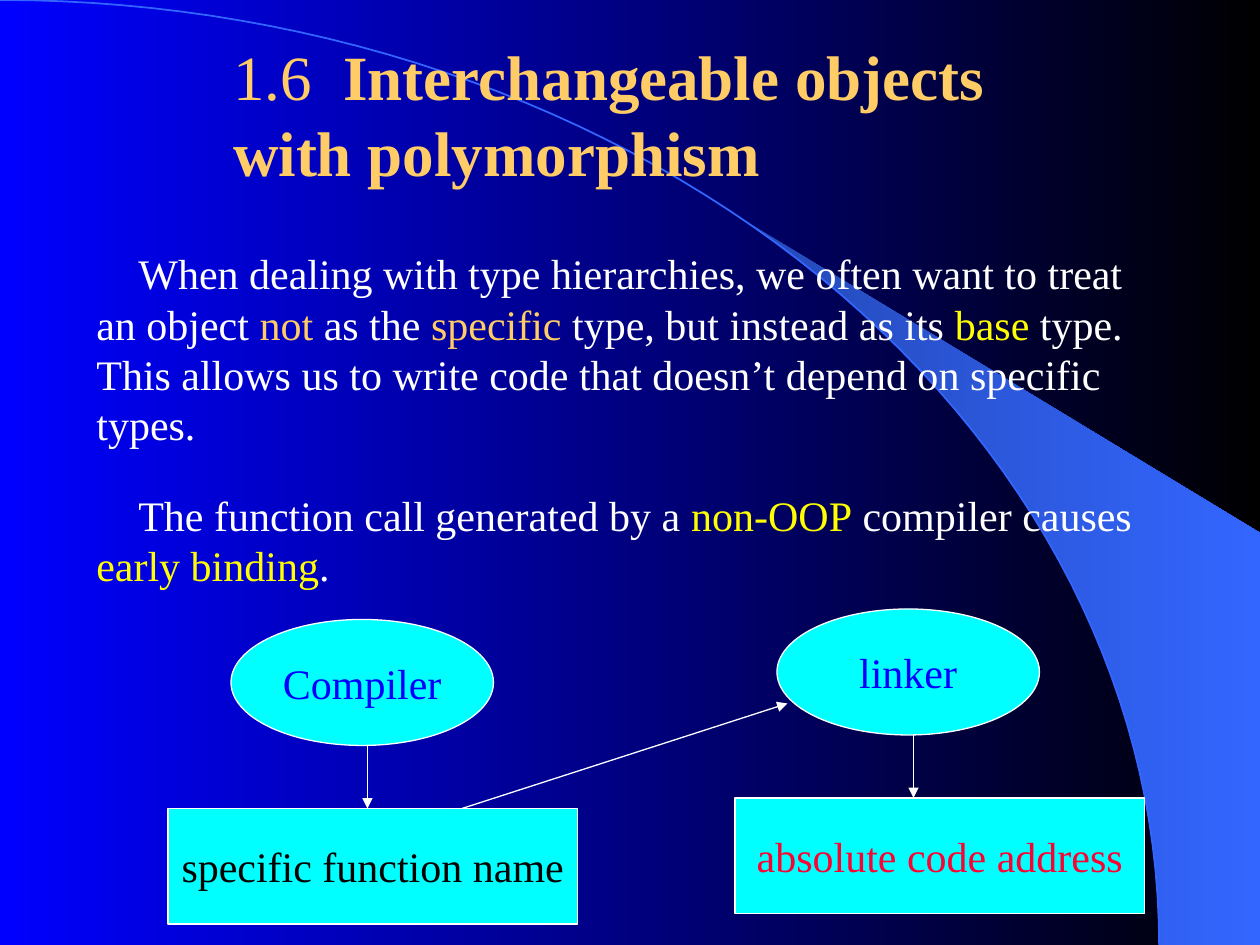
import math
from dataclasses import dataclass

from lxml import etree
from pptx import Presentation, util as u
from pptx.dml.color import RGBColor
from pptx.enum import shapes, text
from pptx.oxml.ns import qn


@dataclass(frozen=True)
class Theme:
    font: str = "Times New Roman"
    title_size: int = 36
    body_size: int = 24
    leading: float = 1.2
    outline: float = 0.75
    blue: str = "0000FF"
    black: str = "000000"
    white: str = "FFFFFF"
    gold: str = "FFCC66"
    yellow: str = "FFFF00"
    cyan: str = "00FFFF"
    red: str = "FF0033"
    sweep: str = "3366FF"
    sweep_dark: str = "2449B6"


THEME = Theme()
COLUMNS, ROWS = 120, 90
CELL = u.Inches(10) // COLUMNS


def grid(*cells):
    return [u.Emu(round(cell * CELL)) for cell in cells]


def place(shape, box):
    shape.left, shape.top, shape.width, shape.height = grid(*box)


def color(value):
    return RGBColor.from_string(value)


def fill_gradient(fill, start, end):
    fill.gradient()
    fill.gradient_angle = 0
    for stop, value in zip(fill.gradient_stops, (start, end)):
        stop.color.rgb = color(value)


def write(shape, paragraphs, size=THEME.body_size, align=text.PP_ALIGN.LEFT,
          anchor=text.MSO_ANCHOR.TOP, wrap=True, indent=0):
    """Each paragraph is a list of (words, colour, bold) runs."""
    frame = shape.text_frame
    frame.word_wrap = wrap
    frame.vertical_anchor = anchor
    frame.auto_size = text.MSO_AUTO_SIZE.NONE
    for index, runs in enumerate(paragraphs):
        paragraph = frame.add_paragraph() if index else frame.paragraphs[0]
        paragraph.alignment = align
        paragraph.line_spacing = u.Pt(size * THEME.leading)
        if indent:
            paragraph._p.get_or_add_pPr().set("indent", str(u.Pt(indent)))
        for words, shade, bold in runs:
            run = paragraph.add_run()
            run.text = words
            run.font.name = THEME.font
            run.font.size = u.Pt(size)
            run.font.bold = bold
            run.font.color.rgb = color(shade)


def add_outline(slide, points, closed):
    start, *rest = [grid(*point) for point in points]
    builder = slide.shapes.build_freeform(*start)
    builder.add_line_segments(rest, close=closed)
    shape = builder.convert_to_shape()
    shape.shadow.inherit = False
    return shape


def add_backdrop(slide, width, height):
    """A quarter ellipse across the slide, with a lit band on its outer side."""
    fill_gradient(slide.background.fill, THEME.blue, THEME.black)
    radius_x, radius_y = 0.92 * width, height

    def arc(first, last, steps):
        angles = [first + (last - first) * step / steps for step in range(steps + 1)]
        return [(radius_x * math.sin(angle), radius_y * (1 - math.cos(angle)))
                for angle in angles]

    right_angle = math.pi / 2
    band_start = math.asin(0.64)
    corner = [(width, height), (width, 0.564 * height)]
    band = add_outline(slide, arc(band_start, right_angle, 24) + corner, True)
    fill_gradient(band.fill, THEME.sweep_dark, THEME.sweep)
    band.line.fill.background()

    curve = add_outline(slide, arc(0, right_angle, 60), False)
    curve.fill.background()
    curve.line.color.rgb = color(THEME.sweep)
    curve.line.width = u.Pt(1)


def add_title(slide, box):
    title = slide.shapes.title
    slide.shapes._spTree.append(title._element)  # in front of the backdrop
    place(title, box)
    write(title, [[("1.6  ", THEME.gold, False),
                   ("Interchangeable objects", THEME.gold, True)],
                  [("with polymorphism", THEME.gold, True)]],
          size=THEME.title_size)


def add_statement(slide, box, *runs):
    statement = slide.shapes.add_textbox(*grid(*box))
    write(statement, [[(words, shade, False) for words, shade in runs]],
          indent=THEME.body_size)


def add_node(slide, kind, box, label, shade):
    node = slide.shapes.add_shape(kind, *grid(*box))
    node.shadow.inherit = False
    node.fill.solid()
    node.fill.fore_color.rgb = color(THEME.cyan)
    node.line.color.rgb = color(THEME.white)
    node.line.width = u.Pt(THEME.outline)
    write(node, [[(label, shade, False)]], align=text.PP_ALIGN.CENTER,
          anchor=text.MSO_ANCHOR.MIDDLE, wrap=False)


def add_arrow(slide, start, end):
    arrow = slide.shapes.add_connector(
        shapes.MSO_CONNECTOR.STRAIGHT, *grid(*start, *end))
    arrow.line.color.rgb = color(THEME.white)
    arrow.line.width = u.Pt(THEME.outline)
    etree.SubElement(arrow.line._get_or_add_ln(), qn("a:tailEnd"), type="triangle")
    etree.SubElement(arrow._element.spPr, qn("a:effectLst"))


def add_stage(slide, left, top, actor, product, product_color, product_left):
    """An actor in an ellipse, pointing down at what it produces."""
    width, height, gap = 25, 12, 6
    bottom = top + height
    add_node(slide, shapes.MSO_SHAPE.OVAL, (left, top, width, height),
             actor, THEME.blue)
    add_node(slide, shapes.MSO_SHAPE.RECTANGLE,
             (product_left, bottom + gap, 39, 11), product, product_color)
    add_arrow(slide, (left + 13, bottom), (left + 13, bottom + gap))


def add_binding_diagram(slide, left, top):
    add_stage(slide, left + 6, top + 1, "Compiler",
              "specific function name", THEME.black, left)
    add_stage(slide, left + 58, top, "linker",
              "absolute code address", THEME.red, left + 54)
    add_arrow(slide, (left + 28, top + 19), (left + 59, top + 9))


def main():
    presentation = Presentation()
    presentation.slide_width, presentation.slide_height = grid(COLUMNS, ROWS)
    slide = presentation.slides.add_slide(presentation.slide_layouts[5])
    add_backdrop(slide, COLUMNS, ROWS)
    add_title(slide, (21, 3, 87, 15.6))
    add_statement(
        slide, (8, 23, 104, 20.4),
        ("When dealing with type hierarchies, we often want to treat an object ",
         THEME.white),
        ("not", THEME.gold), (" as the ", THEME.white),
        ("specific", THEME.gold), (" type, but instead as its ", THEME.white),
        ("base", THEME.yellow),
        (" type. This allows us to write code that doesn’t depend on specific types.",
         THEME.white))
    add_statement(
        slide, (8, 46, 103, 10.8),
        ("The function call generated by a ", THEME.white),
        ("non-OOP", THEME.yellow), (" compiler causes ", THEME.white),
        ("early binding", THEME.yellow), (".", THEME.white))
    add_binding_diagram(slide, 16, 58)
    presentation.save("out.pptx")


if __name__ == "__main__":
    main()
